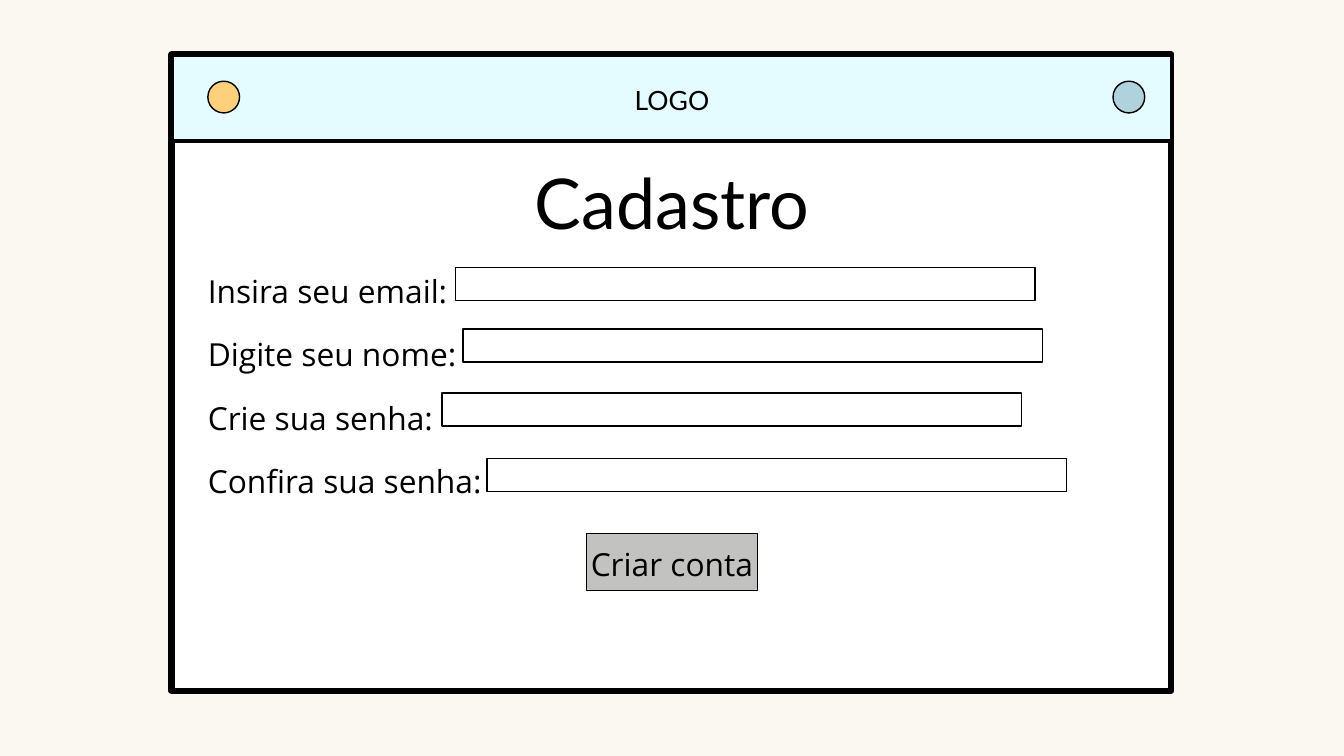
from dataclasses import dataclass
from typing import Optional

import pptx
import pptx.dml.color
import pptx.enum.shapes
import pptx.enum.text
import pptx.util

Pt = pptx.util.Pt
RGB = pptx.dml.color.RGBColor
SHAPE = pptx.enum.shapes.MSO_SHAPE
ALIGN = pptx.enum.text.PP_ALIGN


@dataclass(frozen=True)
class TextStyle:
    font: str
    size: float
    leading: float
    align: ALIGN = ALIGN.CENTER


@dataclass(frozen=True)
class Theme:
    page: str = "FBF7F1"
    ink: str = "000000"
    window: str = "FFFFFF"
    header: str = "E4FBFF"
    left_dot: str = "FFD07B"
    right_dot: str = "B0D2DD"
    button: str = "C2C3C1"
    logo: TextStyle = TextStyle("Lato", 28.4, 39.7)
    title: TextStyle = TextStyle("Lato", 75, 104.9)
    label: TextStyle = TextStyle("Open Sans", 34, 68, ALIGN.LEFT)
    action: TextStyle = TextStyle("Open Sans", 34, 47.6)


@dataclass(frozen=True)
class Box:
    left: float
    top: float
    width: float
    height: float

    def lengths(self) -> tuple:
        return Pt(self.left), Pt(self.top), Pt(self.width), Pt(self.height)


@dataclass(frozen=True)
class Field:
    label: str
    left: float
    top: float


THEME = Theme()
FIELD_SIZE = (620.6, 35.4)
DOT_SIZE = 34
FIELDS = [
    Field("Insira seu email:", 488.3, 286.4),
    Field("Digite seu nome:", 496.2, 352.3),
    Field("Crie sua senha:", 473.6, 421),
    Field("Confira sua senha:", 521.8, 491),
]


def write(tf, lines: list[str], style: TextStyle, inset_top: float = 0) -> None:
    """Fill a text frame from its top edge, one paragraph per line."""
    tf.margin_left = tf.margin_right = tf.margin_bottom = 0
    tf.margin_top = Pt(inset_top)
    tf.word_wrap = True
    tf.auto_size = pptx.enum.text.MSO_AUTO_SIZE.NONE
    tf.vertical_anchor = pptx.enum.text.MSO_ANCHOR.TOP
    tf.text = "\n".join(lines)
    for p in tf.paragraphs:
        p.alignment = style.align
        p.line_spacing = Pt(style.leading)
        p.font.name = style.font
        p.font.size = Pt(style.size)
        p.font.color.rgb = RGB.from_string(THEME.ink)


def add_outlined(s, kind: SHAPE, box: Box, fill: Optional[str], line: float = 1.5):
    sp = s.shapes.add_shape(kind, *box.lengths())
    sp.shadow.inherit = False
    if fill:
        sp.fill.solid()
        sp.fill.fore_color.rgb = RGB.from_string(fill)
    else:
        sp.fill.background()
    sp.line.color.rgb = RGB.from_string(THEME.ink)
    sp.line.width = Pt(line)
    return sp


def add_title(s, text: str, box: Box) -> None:
    """Place the title placeholder in front of the window."""
    sp = s.shapes.title
    sp.left, sp.top, sp.width, sp.height = box.lengths()
    write(sp.text_frame, [text], THEME.title)
    sp.element.getparent().append(sp.element)


def add_window(s) -> None:
    add_outlined(s, SHAPE.RECTANGLE, Box(183.8, 58.3, 1071, 681.8), THEME.window, 6.75)
    header = add_outlined(s, SHAPE.RECTANGLE, Box(184.5, 58.3, 1071, 92.9), THEME.header, 4.5)
    write(header.text_frame, ["LOGO"], THEME.logo, inset_top=26)
    for left, fill in ((222.7, THEME.left_dot), (1192.5, THEME.right_dot)):
        add_outlined(s, SHAPE.OVAL, Box(left, 87, DOT_SIZE, DOT_SIZE), fill)


def add_form(s) -> None:
    labels = s.shapes.add_textbox(*Box(222.7, 263.5, 342.7, 262.8).lengths())
    write(labels.text_frame, [field.label for field in FIELDS], THEME.label)
    for field in FIELDS:
        add_outlined(s, SHAPE.RECTANGLE, Box(field.left, field.top, *FIELD_SIZE), None)
    button = add_outlined(s, SHAPE.RECTANGLE, Box(628.4, 571.7, 183, 61.2), THEME.button)
    write(button.text_frame, ["Criar conta"], THEME.action, inset_top=5)


def main() -> None:
    prs = pptx.Presentation()
    prs.slide_width, prs.slide_height = Pt(1440), Pt(810)
    s = prs.slides.add_slide(prs.slide_layouts[5])
    s.background.fill.solid()
    s.background.fill.fore_color.rgb = RGB.from_string(THEME.page)
    add_window(s)
    add_title(s, "Cadastro", Box(271.4, 155.5, 897.2, 100.8))
    add_form(s)
    prs.save("out.pptx")


if __name__ == "__main__":
    main()
